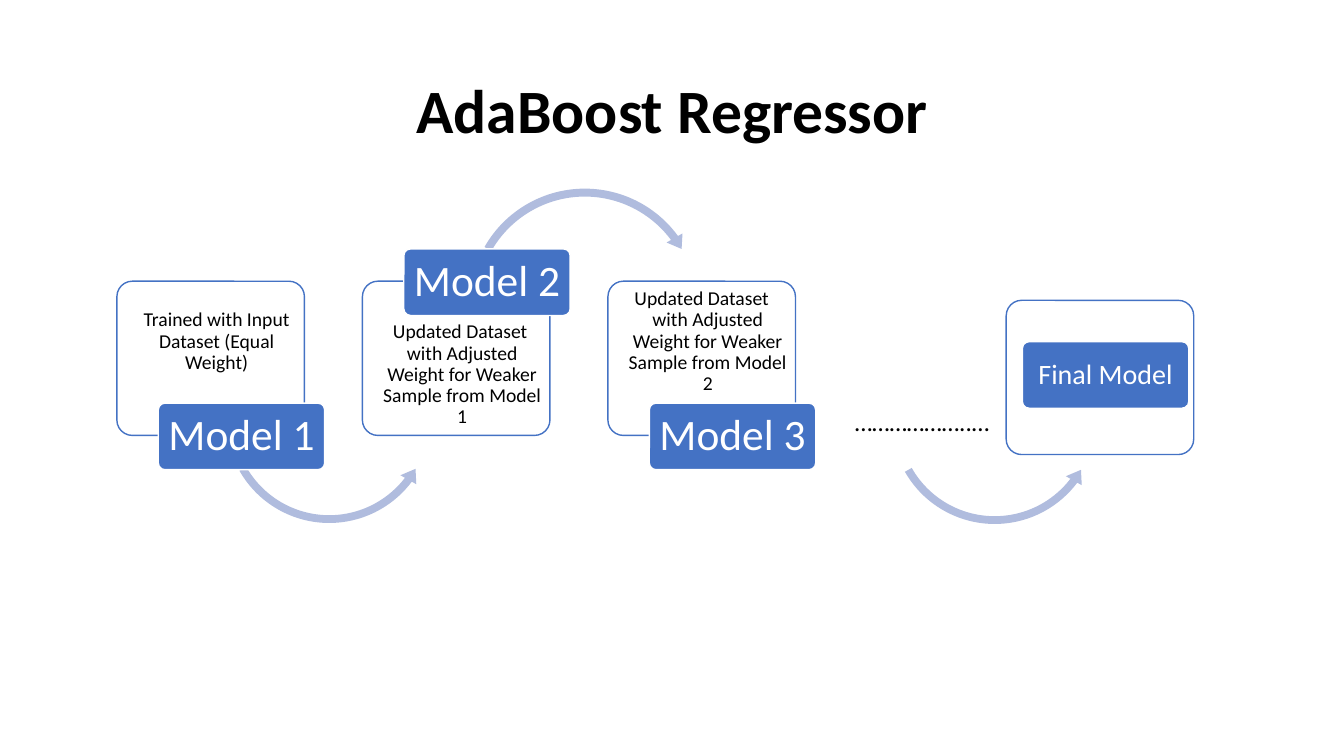
from pptx import Presentation
from pptx.dml.color import RGBColor
from pptx.enum.shapes import MSO_SHAPE
from pptx.enum.text import MSO_ANCHOR, PP_ALIGN
from pptx.util import Inches, Pt

INK = {"text": "000000", "blue": "4472C4", "arc": "B0BCDE", "white": "FFFFFF"}
CARD = (1.86, 1.53)
TAG = (1.65, 0.66)
BEND = {
    "under": (MSO_SHAPE.LEFT_CIRCULAR_ARROW, 2.15, (0.036, 4.51, 22.266, 90.245, 0.042)),
    "over": (MSO_SHAPE.CIRCULAR_ARROW, 2.39, (0.033, 4.027, 194.218, 125.755, 0.038)),
}
STEPS = [
    ("Model 1", "Trained with Input Dataset (Equal Weight)", 0, False, ("under", 1.03, 0.3)),
    ("Model 2", "Updated Dataset with Adjusted Weight for Weaker Sample from Model 1",
     -0.04, True, ("over", 1.01, -0.97)),
    ("Model 3", "Updated Dataset with Adjusted Weight for Weaker Sample from Model 2",
     -0.12, False, None),
]


def color(name):
    """Return the named colour."""
    return RGBColor.from_string(INK[name])


def write(frame, text, size, ink, align=PP_ALIGN.CENTER, bold=False):
    """Write one run into a frame and return its paragraph."""
    frame.word_wrap = True
    para = frame.paragraphs[0]
    para.alignment = align
    para.line_spacing = 0.9
    run = para.add_run()
    run.text = text
    font = run.font
    font.name, font.size, font.bold = "Calibri", Pt(size), bold
    font.color.rgb = color(ink)
    return para


def pad(frame, left, top, right, bottom):
    """Set the insets of a frame and centre its text upright."""
    frame.margin_left, frame.margin_top = Inches(left), Inches(top)
    frame.margin_right, frame.margin_bottom = Inches(right), Inches(bottom)
    frame.vertical_anchor = MSO_ANCHOR.MIDDLE


def block(slide, left, top, size, fill, line):
    """Draw a rounded block."""
    shape = slide.shapes.add_shape(
        MSO_SHAPE.ROUNDED_RECTANGLE, Inches(left), Inches(top), *map(Inches, size))
    shape.adjustments[0] = 0.1
    shape.shadow.inherit = False
    shape.fill.solid()
    shape.fill.fore_color.rgb = color(fill)
    shape.line.color.rgb = color(line)
    shape.line.width = Pt(1)
    return shape


def card(slide, left, top):
    """Draw an outlined white card."""
    return block(slide, left, top, CARD, "white", "blue")


def tag(slide, left, top, text, size):
    """Draw a blue model label."""
    frame = block(slide, left, top, TAG, "blue", "white").text_frame
    pad(frame, 0.06, 0.04, 0.06, 0.04)
    write(frame, text, size, "white")


def arc(slide, left, top, kind):
    """Draw a curved arrow that bends under or over."""
    form, side, values = BEND[kind]
    shape = slide.shapes.add_shape(
        form, Inches(left), Inches(top), Inches(side), Inches(side))
    for index, value in enumerate(values):
        shape.adjustments[index] = value
    shape.shadow.inherit = False
    shape.fill.solid()
    shape.fill.fore_color.rgb = color("arc")
    shape.line.fill.background()


def step(slide, left, top, name, text, hang, high, bend):
    """Draw one training step: card, arrow and label."""
    frame = card(slide, left, top).text_frame
    pad(frame, 0.03, 0.36 if high else 0.03, 0.03, 0.03 if high else 0.36)
    props = write(frame, text, 14, "text")._p.get_or_add_pPr()
    props.set("marL", str(Inches(0.12)))
    props.set("indent", str(Inches(hang)))
    if bend:
        kind, right, down = bend
        arc(slide, left + right, top + down, kind)
    tag(slide, left + 0.41, top + (-0.32 if high else 1.21), name, 31)


def final(slide, left, top):
    """Draw the final model with the dots and arrow leading to it."""
    card(slide, left, top)
    arc(slide, left - 1.19, top + 0.12, "under")
    tag(slide, left + 0.16, top + 0.41, "Final Model", 20)
    dots = slide.shapes.add_textbox(
        Inches(left - 1.6), Inches(top + 1), Inches(1.57), Inches(0.4))
    para = write(dots.text_frame, "………………..…", 18, "text", PP_ALIGN.LEFT)
    para.line_spacing = 1.0


def head(slide, left, top, width, height):
    """Place and fill the title."""
    title = slide.shapes.title
    title.left, title.top = Inches(left), Inches(top)
    title.width, title.height = Inches(width), Inches(height)
    title.text_frame.vertical_anchor = MSO_ANCHOR.MIDDLE
    write(title.text_frame, "AdaBoost Regressor", 44, "text", bold=True)


def main():
    """Build the slide and save it."""
    deck = Presentation()
    deck.slide_width, deck.slide_height = Inches(13.33), Inches(7.5)
    slide = deck.slides.add_slide(deck.slide_layouts[5])
    head(slide, 0.92, 0.4, 11.5, 1.45)
    for index, parts in enumerate(STEPS):
        step(slide, 1.16 + 2.435 * index, 2.79, *parts)
    final(slide, 9.98, 2.98)
    deck.save("out.pptx")


if __name__ == "__main__":
    main()
